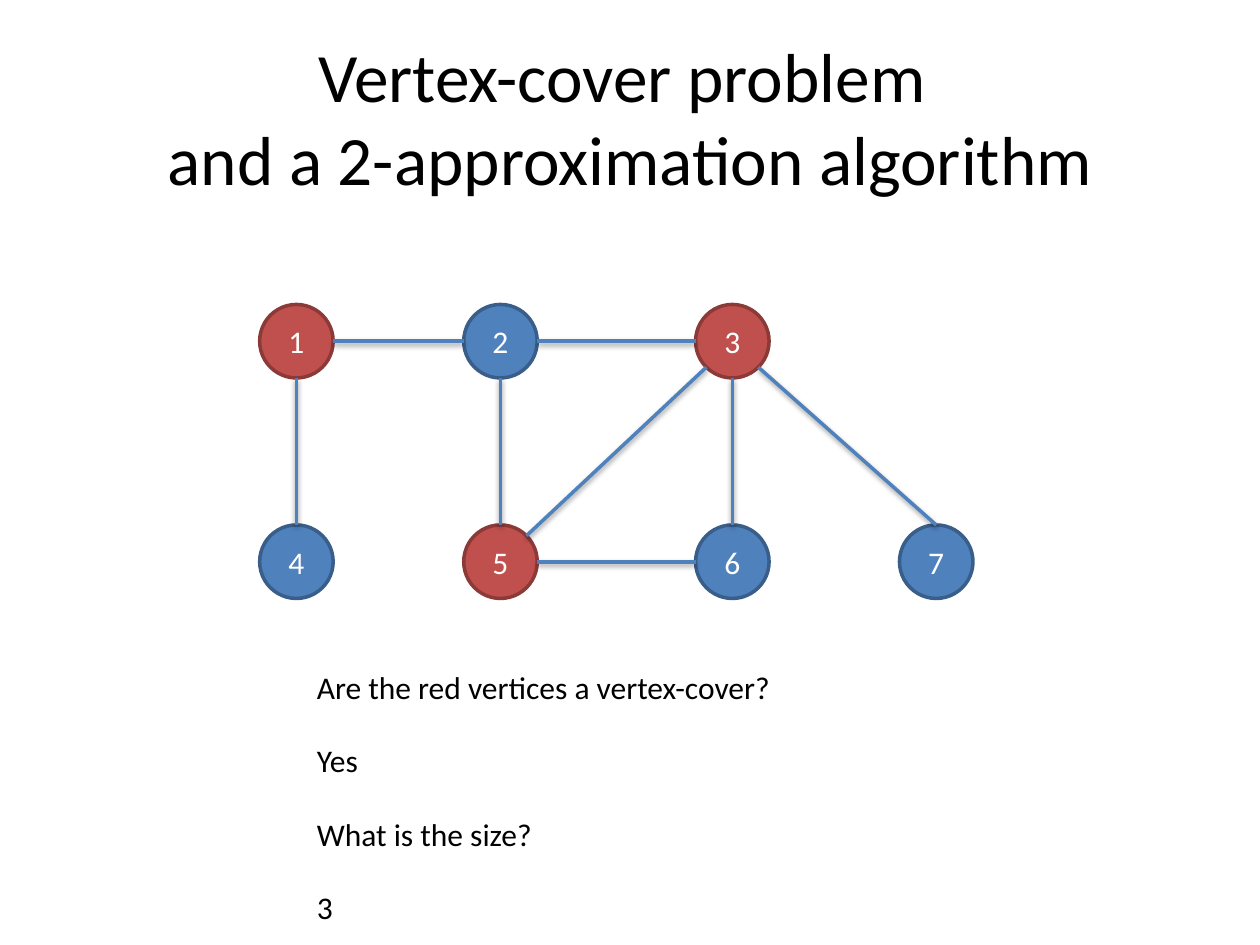
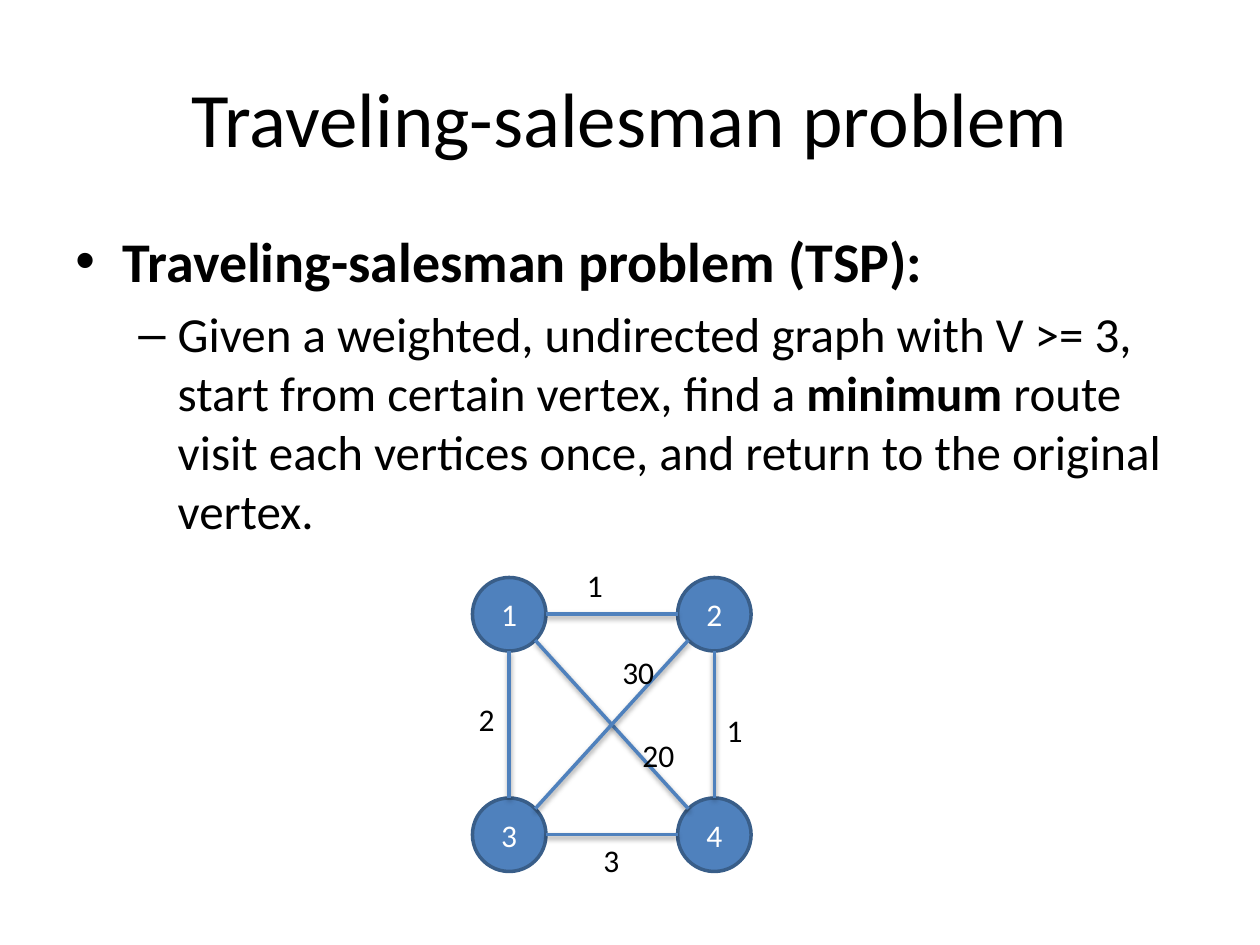
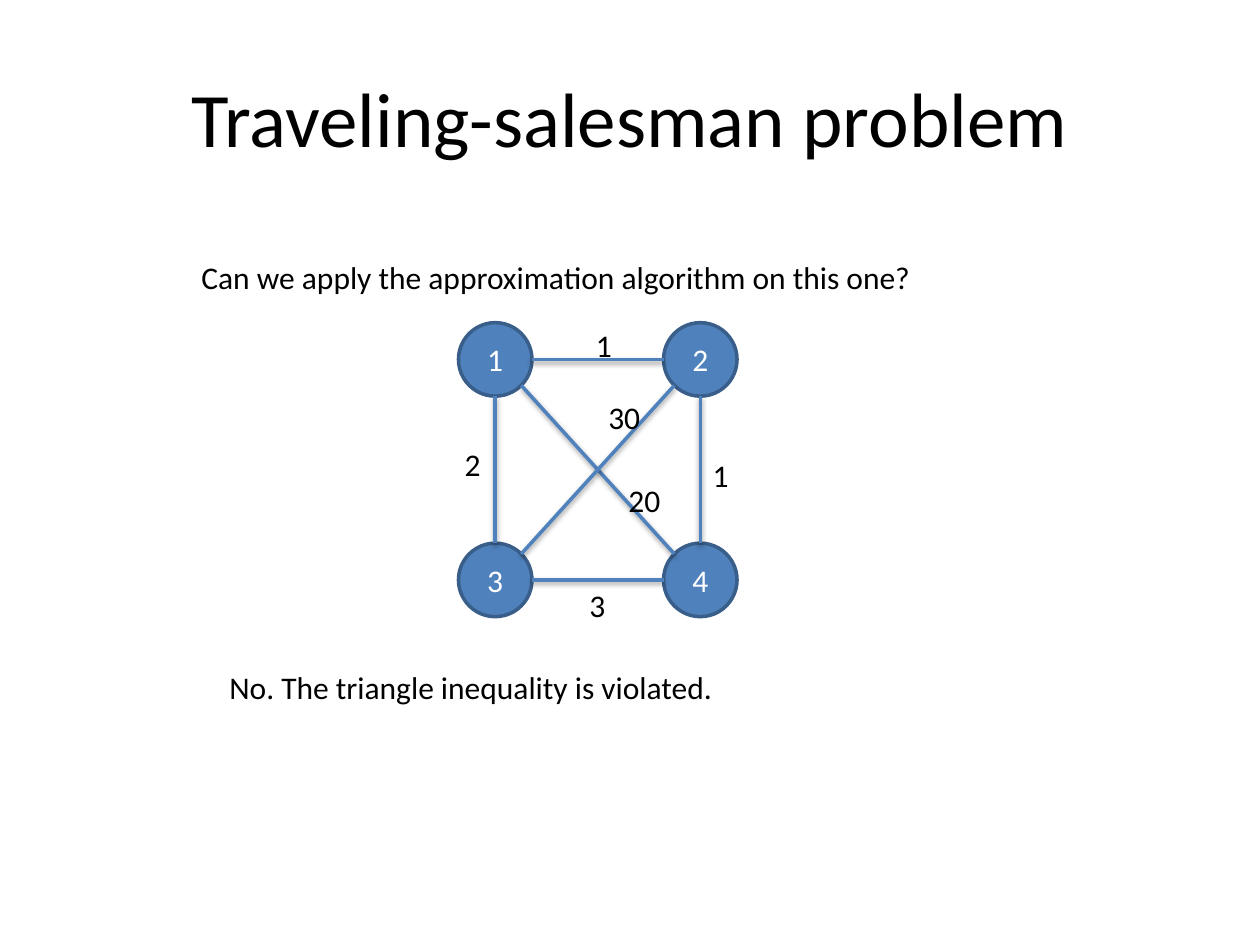
from math import cos, radians, sin

from lxml.etree import SubElement
from pptx import Presentation
from pptx.dml.color import RGBColor
from pptx.enum.shapes import MSO_CONNECTOR, MSO_SHAPE
from pptx.enum.text import MSO_ANCHOR, MSO_AUTO_SIZE, PP_ALIGN
from pptx.oxml.ns import qn
from pptx.util import Pt

FONT = "Calibri"
COLORS = {
    "text": "000000",
    "node_text": "FFFFFF",
    "blue": "4F81BD",
    "blue_line": "395E89",
    "red": "C0504D",
    "red_line": "8C3A38",
}
NODE_SIZE = 42
ROW_GAP = 126
LABEL_HEIGHT = 29

# Connection sites of an ellipse, counted anticlockwise from the top
TOP, UPPER_LEFT, LEFT, LOWER_LEFT, BOTTOM, LOWER_RIGHT, RIGHT, UPPER_RIGHT = range(8)

# Four-city graph: positions are offsets from its top left corner
CITY_GAP = 117.2
CITIES = {
    "3": (0, ROW_GAP),
    "1": (0, 0),
    "2": (CITY_GAP, 0),
    "4": (CITY_GAP, ROW_GAP),
}
ROADS = [
    ("1", BOTTOM, "3", TOP),
    ("1", RIGHT, "2", LEFT),
    ("2", BOTTOM, "4", TOP),
    ("3", RIGHT, "4", LEFT),
    ("1", LOWER_RIGHT, "4", UPPER_LEFT),
    ("3", UPPER_RIGHT, "2", LOWER_LEFT),
]
WEIGHTS = [
    ("2", -3.6, 66.2),
    ("1", 138.2, 72.7),
    ("3", 67.7, 147),
    ("30", 78.5, 39.6),
    ("20", 90, 87),
]


def color(name):
    return RGBColor.from_string(COLORS[name])


def add_span(para, text, size, bold=False, fill="text"):
    span = para.add_run()
    span.text = text
    span.font.name = FONT
    span.font.size = Pt(size)
    span.font.bold = bold
    span.font.color.rgb = color(fill)


def add_box(page, left, top, width, height):
    box = page.shapes.add_textbox(Pt(left), Pt(top), Pt(width), Pt(height))
    box.text_frame.word_wrap = True
    return box.text_frame


def add_title(page, lines, size=44):
    frame = add_box(page, 36, 21.6, 648, 90)
    frame.vertical_anchor = MSO_ANCHOR.MIDDLE
    para = frame.paragraphs[0]
    para.alignment = PP_ALIGN.CENTER
    for index, line in enumerate(lines):
        if index:
            para.add_line_break()
        add_span(para, line, size)


def add_label(page, text, left, top, width):
    frame = add_box(page, left, top, width, LABEL_HEIGHT)
    frame.auto_size = MSO_AUTO_SIZE.SHAPE_TO_FIT_TEXT
    add_span(frame.paragraphs[0], text, 18)


def add_bullet(para, mark, margin, hanging):
    properties = para._p.get_or_add_pPr()
    properties.set("marL", str(Pt(margin)))
    properties.set("indent", str(-Pt(hanging)))
    SubElement(properties, qn("a:buFont"), typeface="Arial")
    SubElement(properties, qn("a:buChar"), char=mark)


def add_node(page, text, left, top, fill):
    node = page.shapes.add_shape(
        MSO_SHAPE.OVAL, Pt(left), Pt(top), Pt(NODE_SIZE), Pt(NODE_SIZE))
    node.shadow.inherit = False
    node.fill.solid()
    node.fill.fore_color.rgb = color(fill)
    node.line.color.rgb = color(fill + "_line")
    node.line.width = Pt(2)
    node.text_frame.vertical_anchor = MSO_ANCHOR.MIDDLE
    para = node.text_frame.paragraphs[0]
    para.alignment = PP_ALIGN.CENTER
    add_span(para, text, 18, fill="node_text")
    return node


def site_point(node, site):
    angle = radians(90 + 45 * site)
    radius = node.width / 2
    return (round(node.left + radius * (1 + cos(angle))),
            round(node.top + radius * (1 - sin(angle))))


def add_edge(page, start, start_site, end, end_site):
    edge = page.shapes.add_connector(
        MSO_CONNECTOR.STRAIGHT,
        *site_point(start, start_site), *site_point(end, end_site))
    edge.line.color.rgb = color("blue")
    edge.line.width = Pt(2)

    # Ellipses have eight sites, so the joins are written directly
    joins = edge._element.find(".//" + qn("p:cNvCxnSpPr"))
    for tag, node, site in (("a:stCxn", start, start_site),
                            ("a:endCxn", end, end_site)):
        SubElement(joins, qn(tag), id=str(node.shape_id), idx=str(site))

    # Soft shadow below the line
    effects = SubElement(edge._element.spPr, qn("a:effectLst"))
    shadow = SubElement(effects, qn("a:outerShdw"), blurRad=str(Pt(3.1)),
                        dist=str(Pt(1.6)), dir="5400000", rotWithShape="0")
    tint = SubElement(shadow, qn("a:srgbClr"), val="000000")
    SubElement(tint, qn("a:alpha"), val="38000")


def add_graph(page, places, edges, left=0, top=0, red=()):
    nodes = {
        name: add_node(page, name, left + x, top + y,
                       "red" if name in red else "blue")
        for name, (x, y) in places.items()
    }
    for start, start_site, end, end_site in edges:
        add_edge(page, nodes[start], start_site, nodes[end], end_site)


def add_city_graph(page, left, top, top_weight):
    add_graph(page, CITIES, ROADS, left, top)
    for text, x, y in WEIGHTS + [("1", *top_weight)]:
        add_label(page, text, left + x, top + y, 24 if len(text) == 1 else 33.2)


def build_vertex_cover(page):
    add_title(page, ["Vertex-cover problem ", "and a 2-approximation algorithm"], 39.6)
    first, second, third, fourth = 148.4, 265, 397.5, 514
    upper = 174
    lower = upper + ROW_GAP
    places = {
        "4": (first, lower),
        "1": (first, upper),
        "2": (second, upper),
        "3": (third, upper),
        "6": (third, lower),
        "5": (second, lower),
        "7": (fourth, lower),
    }
    edges = [
        ("1", BOTTOM, "4", TOP),
        ("1", RIGHT, "2", LEFT),
        ("2", RIGHT, "3", LEFT),
        ("2", BOTTOM, "5", TOP),
        ("3", LOWER_RIGHT, "7", TOP),
        ("3", BOTTOM, "6", TOP),
        ("5", RIGHT, "6", LEFT),
        ("5", UPPER_RIGHT, "3", LOWER_LEFT),
    ]
    add_graph(page, places, edges, red=("1", "3", "5"))

    # Questions and answers
    answers = [
        ("Are the red vertices a vertex-cover?", 300),
        ("Yes", 300),
        ("What is the size?", 414),
        ("3", 48),
    ]
    for row, (text, width) in enumerate(answers):
        add_label(page, text, 174, 378 + 42 * row, width)


def build_salesman_definition(page):
    add_title(page, ["Traveling-salesman problem"])
    frame = add_box(page, 36, 126, 648, 356.4)
    para = frame.paragraphs[0]
    add_bullet(para, "•", 27, 27)
    add_span(para, "Traveling-salesman problem (TSP):", 32, bold=True)

    para = frame.add_paragraph()
    para.level = 1
    para.space_before = Pt(5.6)
    add_bullet(para, "–", 58.5, 22.5)
    add_span(para, "Given a weighted, undirected graph with V >= 3, "
                   "start from certain vertex, find a ", 28)
    add_span(para, "minimum", 28, bold=True)
    add_span(para, " route visit each vertices once, "
                   "and return to the original vertex.", 28)
    add_city_graph(page, 270, 330, (58.3, -10))


def build_salesman_question(page):
    add_title(page, ["Traveling-salesman problem"])
    add_city_graph(page, 262, 184.4, (71.4, -1.5))
    add_label(page, "Can we apply the approximation algorithm on this one?", 108, 144, 434)
    add_label(page, "No. The triangle inequality is violated.", 124, 378, 434)


def main():
    deck = Presentation()
    deck.slide_width, deck.slide_height = Pt(720), Pt(540)
    blank = deck.slide_layouts[6]
    for build in (build_vertex_cover, build_salesman_definition, build_salesman_question):
        build(deck.slides.add_slide(blank))
    deck.save("out.pptx")


if __name__ == "__main__":
    main()
